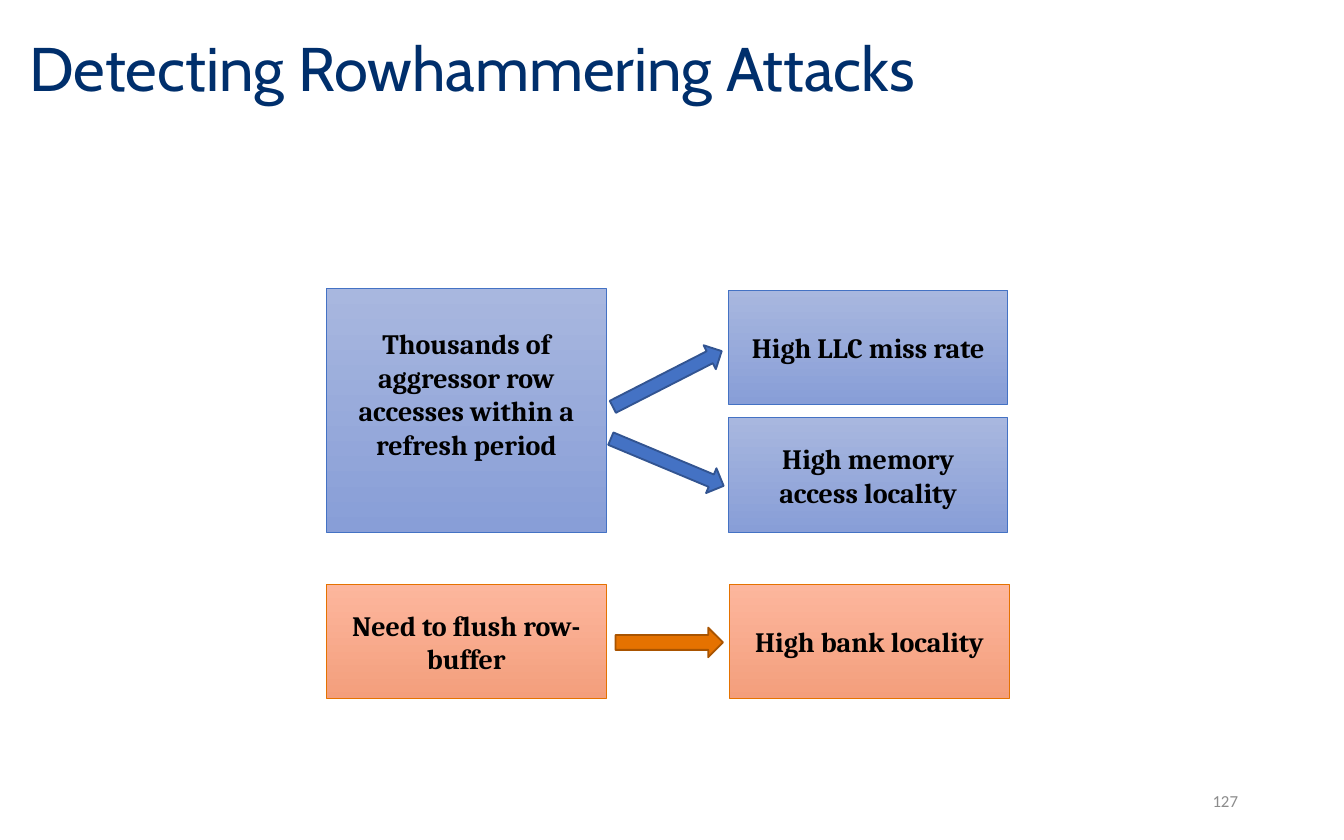
from pptx import Presentation
from pptx.dml.color import RGBColor
from pptx.enum import shapes, text
from pptx.util import Inches, Pt

NAVY = RGBColor(0x00, 0x2F, 0x6C)
GRAY = RGBColor(0x8C, 0x8C, 0x8C)
BLACK = RGBColor(0, 0, 0)
# Each theme: gradient top, gradient bottom, main colour, arrow outline
BLUE = [RGBColor.from_string(c) for c in ("A8B7DF", "889ED7", "4472C4", "325491")]
RUST = [RGBColor.from_string(c) for c in ("FDB69D", "F39E7C", "E57200", "A95400")]

LEFT, RIGHT = 2.43, 5.42
WIDE, HIGH = 2.08, 0.85

# Boxes: words, left, top, height, theme, bottom inset (raises the text)
BOXES = [
    ("Thousands of aggressor row accesses within a refresh period",
     LEFT, 2.15, 1.81, BLUE, 0.3),
    ("High LLC miss rate", RIGHT, 2.16, HIGH, BLUE, 0.05),
    ("High memory access locality", RIGHT, 3.11, HIGH, BLUE, 0.05),
    ("Need to flush row-buffer", LEFT, 4.35, HIGH, RUST, 0.05),
    ("High bank locality", RIGHT + 0.01, 4.35, HIGH, RUST, 0.05),
]
# Arrows: left, top, width, height, turn in degrees, theme
ARROWS = [
    (4.51, 2.72, 0.91, 0.2, 332.9, BLUE),
    (4.51, 3.34, 0.91, 0.2, 22.7, BLUE),
    (4.58, 4.67, 0.8, 0.22, 0, RUST),
]


def write(shape, words, face, size, color, align, bold=False):
    frame = shape.text_frame
    frame.word_wrap = True
    frame.vertical_anchor = text.MSO_ANCHOR.MIDDLE
    para = frame.paragraphs[0]
    para.text = words
    para.alignment = align
    font = para.font
    font.name, font.size, font.bold = face, Pt(size), bold
    font.color.rgb = color
    return para


def draw(kind, area, line, width):
    shape = slide.shapes.add_shape(kind, *map(Inches, area))
    shape.shadow.inherit = False
    shape.line.color.rgb = line
    shape.line.width = Pt(width)
    return shape


deck = Presentation()
deck.slide_width, deck.slide_height = Inches(10), Inches(6.25)
slide = deck.slides.add_slide(deck.slide_layouts[6])

# Title
title = slide.shapes.add_textbox(*map(Inches, (0.12, 0.1, 8.52, 0.86)))
head = write(title, "Detecting Rowhammering Attacks", "Cabin", 33, NAVY,
             text.PP_ALIGN.LEFT)
head.line_spacing = 0.9

# Cause and effect boxes
for words, left, top, high, theme, inset in BOXES:
    box = draw(shapes.MSO_SHAPE.RECTANGLE, (left, top, WIDE, high), theme[2], 0.5)
    box.fill.gradient()
    box.fill.gradient_angle = 270
    for stop, color in zip(box.fill.gradient_stops, theme):
        stop.color.rgb = color
    write(box, words, "Cambria", 15, BLACK, text.PP_ALIGN.CENTER, True)
    box.text_frame.margin_bottom = Inches(inset)

# Block arrows
for *area, turn, theme in ARROWS:
    arrow = draw(shapes.MSO_SHAPE.RIGHT_ARROW, area, theme[3], 1)
    arrow.fill.solid()
    arrow.fill.fore_color.rgb = theme[2]
    arrow.rotation = turn

# Slide number
number = slide.shapes.add_textbox(*map(Inches, (7.06, 5.79, 2.25, 0.33)))
write(number, "127", "Calibri", 9, GRAY, text.PP_ALIGN.RIGHT)

deck.save("out.pptx")
